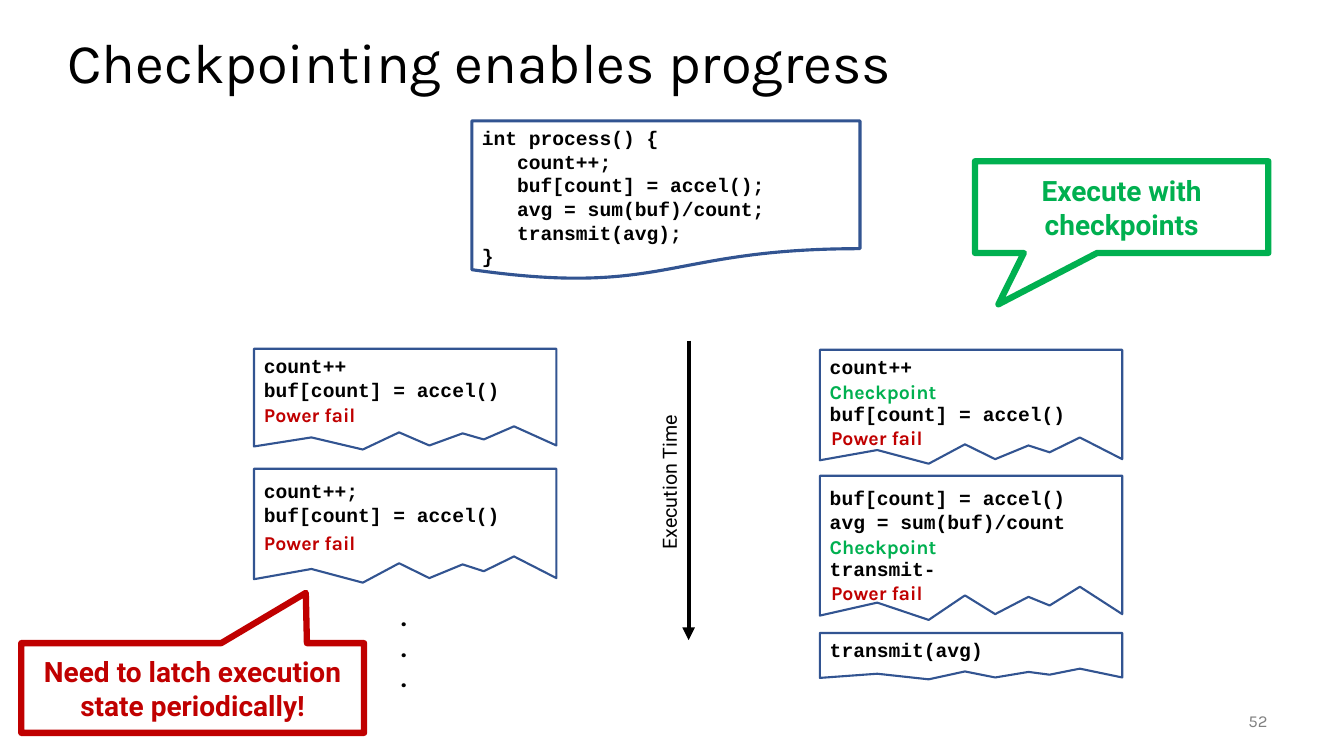
from dataclasses import dataclass
from lxml.etree import SubElement
from pptx import Presentation
from pptx.dml.color import RGBColor as Rgb
from pptx.enum.shapes import MSO_CONNECTOR as Conn, MSO_SHAPE as Shape
from pptx.enum.text import MSO_ANCHOR as Anchor, PP_ALIGN as Align
from pptx.oxml.ns import qn
from pptx.util import Inches, Pt


@dataclass(frozen=True)
class Theme:
    black: str = "000000"
    white: str = "FFFFFF"
    blue: str = "325491"
    red: str = "C00000"
    green: str = "00B050"
    grey: str = "808080"
    head: str = "Karla"
    body: str = "Roboto"
    mono: str = "Courier New"
    title: int = 40
    callout: int = 20
    dots: int = 18
    text: int = 14
    small: int = 12
    code_pitch: float = 16.9


TORN_EDGE = [(0, 0.97), (0, 0), (1, 0), (1, 0.96), (0.86, 0.77), (0.76, 0.9),
             (0.69, 0.84), (0.58, 0.96), (0.48, 0.83), (0.36, 1), (0.19, 0.88)]
LEFT, RIGHT, PAPER_W = 18.9, 61, 22.5


def apply(obj, fmt):
    for name, value in fmt.items():
        setattr(obj, name, value)


class Deck:
    def __init__(self, theme):
        self.t = theme
        self.prs = Presentation()
        apply(self.prs, {"slide_width": Inches(13.33), "slide_height": Inches(7.5)})
        self.s = self.prs.slides.add_slide(self.prs.slide_layouts[6])

    def x(self, cols):
        return round(self.prs.slide_width * cols / 100)

    def y(self, rows):
        return round(self.prs.slide_height * rows / 100)

    def box(self, left, top, width, height):
        return self.x(left), self.y(top), self.x(width), self.y(height)

    def fill_text(self, sp, lines, size, font, color, bold=False, frame=None, para=None):
        tf = sp.text_frame
        apply(tf, {"word_wrap": True, "vertical_anchor": Anchor.TOP, **(frame or {})})
        for i, line in enumerate(lines):
            p = tf.paragraphs[0] if i == 0 else tf.add_paragraph()
            apply(p, {"alignment": Align.LEFT, **(para or {})})
            r = p.add_run()
            r.text = line
            apply(r.font, {"size": Pt(size), "name": font, "bold": bold})
            r.font.color.rgb = Rgb.from_string(color)
        return sp

    def paint(self, sp, line, width, fill=None):
        sp.shadow.inherit = False
        if fill:
            sp.fill.solid()
            sp.fill.fore_color.rgb = Rgb.from_string(fill)
        else:
            sp.fill.background()
        sp.line.color.rgb = Rgb.from_string(line)
        sp.line.width = Pt(width)

    def text(self, box, lines, size, font, color, **style):
        sp = self.s.shapes.add_textbox(*self.box(*box))
        return self.fill_text(sp, lines, size, font, color, **style)

    def label(self, left, top, text, color):
        self.text((left, top, 11.33, 4.53), [text], self.t.text, self.t.head, color, bold=True)

    def code(self, sp, lines, inset=0.05):
        self.fill_text(sp, lines, self.t.text, self.t.mono, self.t.black, bold=True,
                       frame={"margin_top": Inches(inset)},
                       para={"line_spacing": Pt(self.t.code_pitch)})

    def document(self, box, lines):
        sp = self.s.shapes.add_shape(Shape.FLOWCHART_DOCUMENT, *self.box(*box))
        self.paint(sp, self.t.blue, 2.25)
        self.code(sp, lines)

    def torn_paper(self, left, top, height, lines, inset=0.05, gap_before=None):
        pts = [(self.x(left + PAPER_W * u), self.y(top + height * v)) for u, v in TORN_EDGE]
        outline = self.s.shapes.build_freeform(*pts[0])
        outline.add_line_segments(pts[1:], close=True)
        sp = outline.convert_to_shape()
        self.paint(sp, self.t.blue, 1.5, self.t.white)
        self.code(sp, lines, inset)
        if gap_before is not None:
            sp.text_frame.paragraphs[gap_before].space_before = Pt(self.t.code_pitch)

    def callout(self, box, text, color, tip):
        sp = self.s.shapes.add_shape(Shape.RECTANGULAR_CALLOUT, *self.box(*box))
        for i, value in enumerate(tip):
            sp.adjustments[i] = value
        self.paint(sp, color, 4.5, self.t.white)
        self.fill_text(sp, [text], self.t.callout, self.t.body, color, bold=True,
                       frame={"vertical_anchor": Anchor.MIDDLE}, para={"alignment": Align.CENTER})

    def arrow(self, col, top, bottom):
        c = self.s.shapes.add_connector(Conn.STRAIGHT, self.x(col), self.y(top),
                                        self.x(col), self.y(bottom))
        c.line.color.rgb = Rgb.from_string(self.t.black)
        c.line.width = Pt(3)
        props = c._element.spPr
        SubElement(props.find(qn("a:ln")), qn("a:tailEnd"), type="triangle")
        SubElement(props, qn("a:effectLst"))


def main():
    t = Theme()
    d = Deck(t)
    d.text((4.28, 2.93, 89.35, 10.27), ["Checkpointing enables progress"], t.title, t.head, t.black)
    d.arrow(51.24, 45.07, 84.67)
    axis = d.text((43.06, 59.73, 13.5, 4.53), ["Execution Time"], t.text, t.body, t.black)
    axis.rotation = 270
    d.document((35.11, 16, 28.88, 21.07), [
        "int process() {", "   count++;", "   buf[count] = accel();",
        "   avg = sum(buf)/count;", "   transmit(avg);", "}"])

    sample = "buf[count] = accel()"
    d.torn_paper(LEFT, 46.13, 13.33, ["count++", sample])
    d.torn_paper(LEFT, 62, 15.07, ["count++;", sample], inset=0.1)
    d.torn_paper(RIGHT, 46.27, 15.07, ["count++", sample], gap_before=1)
    d.torn_paper(RIGHT, 62.93, 19.07, [sample, "avg = sum(buf)/count", "transmit-"],
                 inset=0.1, gap_before=2)
    d.torn_paper(RIGHT, 83.73, 6.13, ["transmit(avg)"])

    for left, top in [(LEFT, 52.67), (LEFT, 69.6), (RIGHT + 0.1, 55.73), (RIGHT + 0.1, 76.13)]:
        d.label(left, top, "Power fail", t.red)
    for top in (49.6, 70.13):
        d.label(RIGHT, top, "Checkpoint", t.green)

    d.text((29.11, 78.93, 2.4, 13.47), ["."] * 3, t.dots, t.head, t.black, bold=True)
    d.callout((1.58, 85.07, 25.51, 11.87), "Need to latch execution state periodically!",
              t.red, (0.33, -1.06))
    d.callout((72.54, 21.33, 21.83, 12.13), "Execute with checkpoints", t.green, (-0.42, 1.06))
    d.text((87.55, 92.67, 7.5, 5.33), ["52"], t.small, t.head, t.grey,
           frame={"vertical_anchor": Anchor.MIDDLE}, para={"alignment": Align.RIGHT})
    d.prs.save("out.pptx")


if __name__ == "__main__":
    main()
